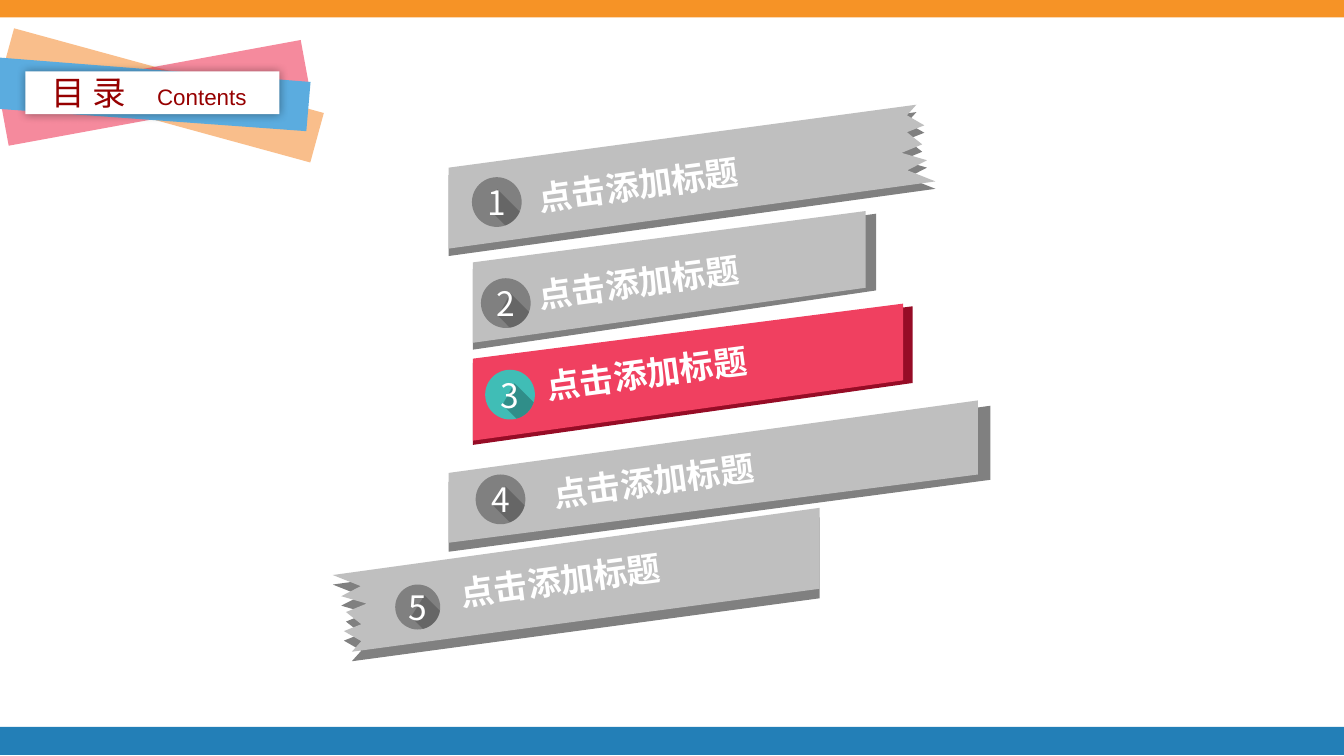
import math

import lxml.etree
import pptx
import pptx.dml.color
import pptx.enum.shapes
import pptx.enum.text
import pptx.oxml.ns
import pptx.util

Cm = pptx.util.Cm
Pt = pptx.util.Pt
RGB = pptx.dml.color.RGBColor
SHAPE = pptx.enum.shapes.MSO_SHAPE
ALIGN = pptx.enum.text.PP_ALIGN
ANCHOR = pptx.enum.text.MSO_ANCHOR
FIT = pptx.enum.text.MSO_AUTO_SIZE
qn = pptx.oxml.ns.qn

WHITE = RGB(0xFF, 0xFF, 0xFF)
ORANGE = RGB(0xF6, 0x93, 0x26)
PEACH = RGB(0xF7, 0x9C, 0x4D)
NAVY = RGB(0x23, 0x7F, 0xB7)
SKY = RGB(0x5B, 0xAC, 0xDF)
PINK = RGB(0xF0, 0x40, 0x60)
WINE = RGB(0x96, 0x0C, 0x26)
MAROON = RGB(0x96, 0x00, 0x00)
TEAL = RGB(0x40, 0xBD, 0xB6)
PINE = RGB(0x28, 0x76, 0x72)
SILVER = RGB(0xBF, 0xBF, 0xBF)
GREY = RGB(0x80, 0x80, 0x80)
DARK = RGB(0x59, 0x59, 0x59)

# face, side, badge and badge shade
PLAIN = (SILVER, GREY, GREY, DARK)
ACTIVE = (PINK, WINE, TEAL, PINE)

HAN = "Noto Sans CJK SC"
HEAD = {"size": Pt(18), "name": HAN, "bold": False}
SUB = {"size": Pt(12), "name": "Arial"}
LABEL = {"size": Pt(18), "name": HAN, "bold": True}
DIGIT = {"size": Pt(18), "name": HAN}
TIGHT = dict.fromkeys(
    ("margin_left", "margin_right", "margin_top", "margin_bottom"), 0)

# Ribbon with a torn right end, in cm from its box
TORN = [(8.84, 0), (8.66, 0.2), (8.99, 0.39), (8.66, 0.52), (8.95, 0.75),
        (8.56, 0.91), (9.04, 1.05), (8.67, 1.24), (9.2, 1.45),
        (0, 2.72), (0, 1.19)]

# box, end (edge lengths, or which end is torn), side depth,
# label box, badge box, digit corners as shares of the badge, colours
RIBBONS = [
    ((8.48, 1.98, 9.2, 2.72), "right", (0, 0.14, 0), (1.43, 0.92, 5.46),
     (0.44, 1.37, 0.94), ((0.51, 0.24), (0.46, 0.76)), PLAIN),
    ((8.94, 3.99, 7.42, 2.49), (1.45, 1.52), (0.2, 0.05, 0.08),
     (0.97, 0.73, 5.89), (0.15, 1.27, 0.94), ((0.59, 0.3), (0.35, 0.76)),
     PLAIN),
    ((8.94, 5.74, 8.13, 2.59), (1.45, 1.55), (0.18, 0.05, 0.03),
     (1.12, 0.69, 5.97), (0.23, 1.25, 0.94), ((0.59, 0.27), (0.35, 0.7)),
     ACTIVE),
    ((8.48, 7.57, 10, 2.69), (1.4, 1.32), (0.24, 0.1, 0.07),
     (1.71, 0.86, 6.43), (0.51, 1.4, 0.94), ((0.6, 0.24), (0.32, 0.59)),
     PLAIN),
    ((6.24, 9.58, 9.25, 2.74), "left", (0, 0.18, 0), (2.19, 0.73, 6.43),
     (1.23, 1.47, 0.85), ((0.65, 0.24), (0.35, 0.72)), PLAIN),
]


def assign(target, values):
    for key, value in values.items():
        setattr(target, key, value)


def paint(shape, color, alpha=100):
    shape.shadow.inherit = False
    shape.fill.solid()
    shape.fill.fore_color.rgb = color
    shape.line.fill.background()
    if alpha < 100:
        tag = shape._element.spPr.find(".//" + qn("a:srgbClr"))
        lxml.etree.SubElement(tag, qn("a:alpha"), val=str(alpha * 1000))
    return shape


def block(shapes, kind, box, color, alpha=100, turn=0):
    shape = shapes.add_shape(kind, *map(Cm, box))
    shape.rotation = turn
    return paint(shape, color, alpha)


def outline(shapes, points, color, alpha=100):
    start, *rest = [(Cm(x), Cm(y)) for x, y in points]
    pen = shapes.build_freeform(*start, scale=1.0)
    pen.add_line_segments(rest, close=True)
    return paint(pen.convert_to_shape(), color, alpha)


def write(shape, text, font, color, align=ALIGN.LEFT, **frame):
    body = shape.text_frame
    assign(body, {"word_wrap": False, "vertical_anchor": ANCHOR.TOP, **frame})
    line = body.paragraphs[0]
    line.alignment = align
    run = line.add_run()
    run.text = text
    assign(run.font, font)
    run.font.color.rgb = color
    lxml.etree.SubElement(run._r.get_or_add_rPr(), qn("a:ea"),
                          typeface=font["name"])


def glow(shape):
    """Add a soft black shadow all round."""
    effects = shape._element.spPr.find(qn("a:effectLst"))
    outer = lxml.etree.SubElement(effects, qn("a:outerShdw"),
                                  blurRad=str(Pt(5)), dist="0", dir="0")
    black = lxml.etree.SubElement(outer, qn("a:srgbClr"), val="000000")
    lxml.etree.SubElement(black, qn("a:alpha"), val="40000")


def header(slide, left, top):
    shapes = slide.shapes
    block(shapes, SHAPE.RECTANGLE, (left + 0.03, top + 0.23, 6.07, 0.97),
          PEACH, 65, 15.3)
    block(shapes, SHAPE.RECTANGLE, (left + 0.03, top + 0.18, 5.79, 0.97),
          PINK, 61, 349.6)
    band = [(0, 0), (5.87, 0.46), (5.79, 1.39), (0, 0.97)]
    outline(shapes, [(left + x, top + y) for x, y in band], SKY)
    glow(block(shapes, SHAPE.RECTANGLE,
               (left + 0.48, top + 0.26, 4.8, 0.81), WHITE))
    title = shapes.title
    shapes._spTree.append(title._element)  # bring to front
    assign(title, {"left": Cm(left + 0.71), "top": Cm(top + 0.15),
                   "width": Cm(1.98), "height": Cm(1.02)})
    write(title, "目 录", HEAD, MAROON, auto_size=FIT.SHAPE_TO_FIT_TEXT)
    note = shapes.add_textbox(Cm(left + 2.72), Cm(top + 0.36),
                              Cm(2.21), Cm(0.76))
    write(note, "Contents", SUB, MAROON, auto_size=FIT.SHAPE_TO_FIT_TEXT)


def rim(x, y):
    """Angle at which a 45 degree ray from (x, y) leaves the unit badge."""
    x, y = x - 0.5, y - 0.5
    step = (math.sqrt((x + y) ** 2 - 2 * (x * x + y * y - 0.25)) - x - y) / 2
    return math.atan2(y + step, x + step)


def badge(shapes, box, digit, corners, color, shade):
    left, top, size = box
    block(shapes, SHAPE.OVAL, (left, top, size, size), color)
    first, last = corners
    begin, end = rim(*first), rim(*last)
    angles = [begin + (end - begin) * i / 8 for i in range(9)]
    arc = [(0.5 + math.cos(a) / 2, 0.5 + math.sin(a) / 2) for a in angles]
    cast = [first, *arc, last]
    outline(shapes, [(left + x * size, top + y * size) for x, y in cast],
            shade, 65)
    text = shapes.add_textbox(*map(Cm, (left, top, size, size)))
    write(text, digit, DIGIT, WHITE, ALIGN.CENTER,
          **{**TIGHT, "vertical_anchor": ANCHOR.MIDDLE})


def strip(box, end):
    """Corners of a slanted ribbon."""
    left, top, width, height = box
    if end == "right":
        points = TORN
    elif end == "left":
        points = [(width - x, height - y) for x, y in TORN]
    else:
        near, far = end
        points = [(width, 0), (width, near), (0, height), (0, height - far)]
    return [(left + x, top + y) for x, y in points]


def ribbon(slide, number, box, end, depth, label, disc, corners, colors):
    shapes = slide.shapes.add_group_shape().shapes
    face, side, color, shade = colors
    left, top, width, height = box
    wide, drop, tall = depth
    back = (left, top + drop, width + wide, height + tall)
    outline(shapes, strip(back, end), side)
    outline(shapes, strip(box, end), face)
    x, y, span = label
    text = shapes.add_textbox(*map(Cm, (left + x, top + y, span, 1.02)))
    text.rotation = 352.3
    write(text, "点击添加标题", LABEL, WHITE, ALIGN.JUSTIFY,
          word_wrap=True, auto_size=FIT.SHAPE_TO_FIT_TEXT)
    x, y, size = disc
    badge(shapes, (left + x, top + y, size), str(number), corners,
          color, shade)


def main():
    deck = pptx.Presentation()
    deck.slide_width, deck.slide_height = Cm(25.4), Cm(14.29)
    slide = deck.slides.add_slide(deck.slide_layouts[5])
    block(slide.shapes, SHAPE.RECTANGLE, (0, 13.74, 25.4, 0.53), NAVY)
    block(slide.shapes, SHAPE.RECTANGLE, (0, 0, 25.4, 0.33), ORANGE)
    header(slide, 0, 1.09)
    for number, parts in enumerate(RIBBONS, 1):
        ribbon(slide, number, *parts)
    deck.save("out.pptx")


if __name__ == "__main__":
    main()
